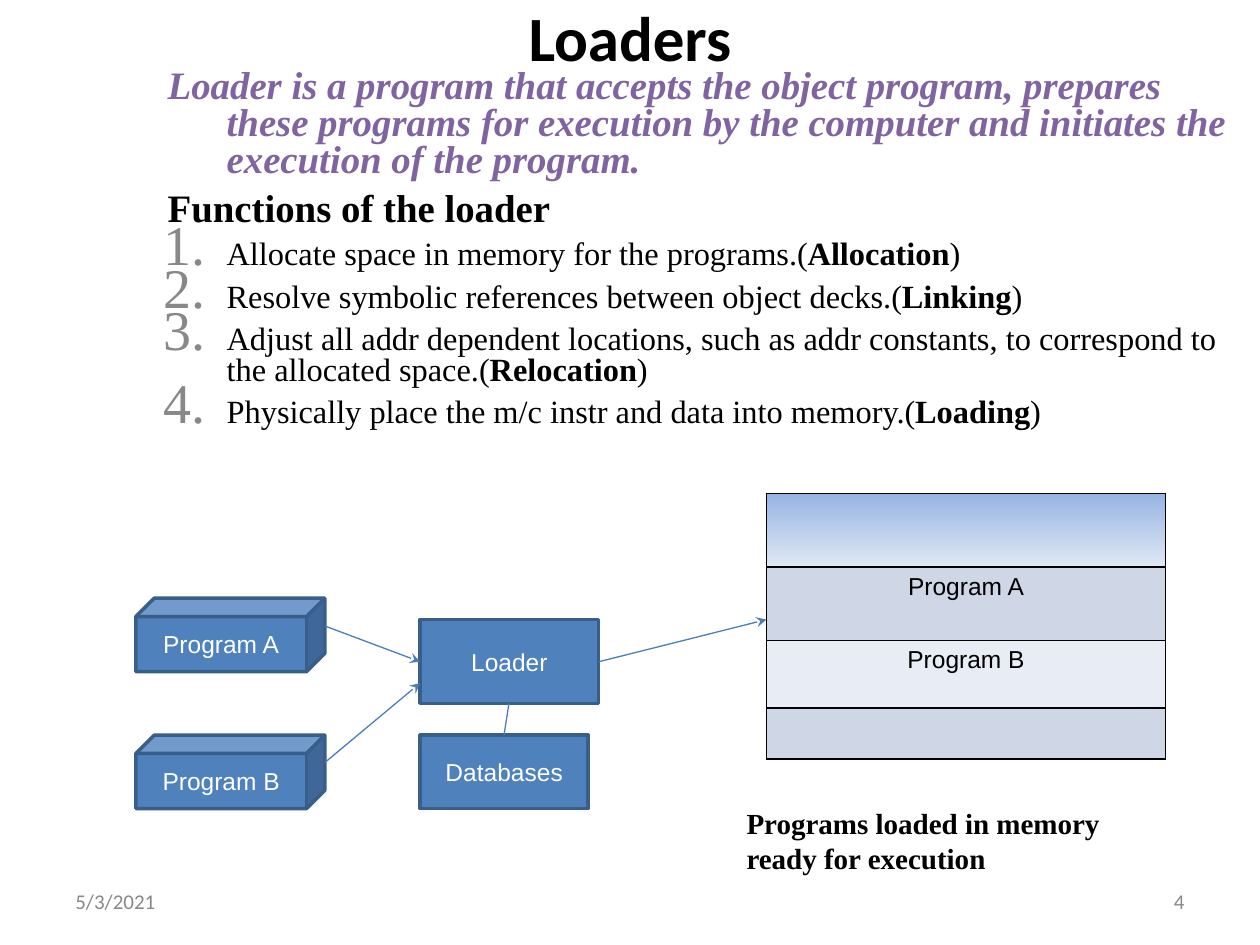
"""Build the slide on loaders, their functions and how programs reach memory."""
from dataclasses import dataclass

from lxml.etree import SubElement as Sub
from pptx import Presentation
from pptx.dml.color import RGBColor as Rgb
from pptx.enum.shapes import MSO_CONNECTOR as Wire, MSO_SHAPE as Form
from pptx.enum.text import MSO_ANCHOR as Anchor, PP_ALIGN as Align
from pptx.oxml.ns import qn
from pptx.util import Cm, Pt


@dataclass
class Theme:
    serif: str = "Times New Roman"
    sans: str = "Arial"
    head: str = "Calibri"
    black: str = "000000"
    white: str = "FFFFFF"
    grey: str = "888888"
    purple: str = "8064A2"
    blue: str = "4F81BD"
    edge: str = "395E89"
    wire: str = "4A7DBA"
    light: str = "E8ECF4"
    band: str = "CFD7E7"
    top: str = "97B4E4"
    fade: str = "E0E8F4"
    title: float = 36
    lead: float = 22.2
    item: float = 18.5
    note: float = 16.6
    label: float = 14
    foot: float = 12


theme = Theme()


def style(font, name, size, color, bold=False, italic=False):
    font.name, font.size, font.bold, font.italic = name, Pt(size), bold, italic
    font.color.rgb = Rgb.from_string(color)


def add_box(left, top, width, height, anchor):
    box = slide.shapes.add_textbox(Cm(left), Cm(top), Cm(width), Cm(height))
    box.text_frame.word_wrap = True
    box.text_frame.vertical_anchor = anchor
    return box.text_frame


deck = Presentation()
deck.slide_width, deck.slide_height = Cm(25.4), Cm(19.05)
slide = deck.slides.add_slide(deck.slide_layouts[6])

for text, place, align, size, color, bold in (
    ("Loaders", (1.9, 0, 21.6, 1.47), Align.CENTER, theme.title, theme.black, True),
    ("5/3/2021", (1.27, 17.65, 5.92, 1.02), Align.LEFT, theme.foot, theme.grey, False),
    ("4", (18.21, 17.65, 5.92, 1.02), Align.RIGHT, theme.foot, theme.grey, False),
):
    frame = add_box(*place, Anchor.MIDDLE)
    frame.text = text
    para = frame.paragraphs[0]
    para.alignment = align
    style(para.runs[0].font, theme.head, size, color, bold)

frame = add_box(3.05, 1.27, 22.35, 10, Anchor.TOP)
intro = (
    ("Loader is a program that accepts the object program, prepares these programs "
     "for execution by the computer and initiates the execution of the program.",
     theme.purple, True),
    ("Functions of the loader", theme.black, False),
)
tasks = (
    ("Allocate space in memory for the programs.", "Allocation"),
    ("Resolve symbolic references between object decks.", "Linking"),
    ("Adjust all addr dependent locations, such as addr constants, "
     "to correspond to the allocated space.", "Relocation"),
    ("Physically place the m/c instr and data into memory.", "Loading"),
)
frame.text = "\n".join([row[0] for row in intro] + [text + "(" for text, _ in tasks])
paras = frame.paragraphs
for para, (_, color, italic) in zip(paras, intro):
    props = para._p.get_or_add_pPr()
    props.set("marL", str(Cm(1.27)))
    props.set("indent", str(-Cm(1.19)))
    style(para.runs[0].font, theme.serif, theme.lead, color, True, italic)
for para, (_, term) in zip(paras[len(intro):], tasks):
    props = para._p.get_or_add_pPr()
    props.set("marL", str(Cm(1.27)))
    props.set("indent", str(-Cm(1.27)))
    Sub(Sub(props, qn("a:buClr")), qn("a:srgbClr"), val=theme.grey)
    Sub(props, qn("a:buSzPct"), val="173000")
    Sub(props, qn("a:buAutoNum"), type="arabicPeriod")
    for text in (term, ")"):
        para.add_run().text = text
    for run in para.runs:
        style(run.font, theme.serif, theme.item, theme.black, run.text == term)
for spot, para in enumerate(paras):
    para.line_spacing = 0.8
    if spot:
        para.space_before = Pt(6.4)

frame = add_box(14.8, 16.25, 9, 1.5, Anchor.TOP)
frame.text = "Programs loaded in memory\nready for execution"
for spot, para in enumerate(frame.paragraphs):
    para.line_spacing = 0.8
    if spot:
        para.space_before = Pt(4)
    style(para.runs[0].font, theme.serif, theme.note, theme.black, True)

for text, form, *place in (
    ("Program A", Form.CUBE, 2.74, 12.06, 3.81, 1.48),
    ("Program B", Form.CUBE, 2.74, 14.82, 3.81, 1.48),
    ("Loader", Form.RECTANGLE, 8.47, 12.49, 3.6, 1.69),
    ("Databases", Form.RECTANGLE, 8.47, 14.82, 3.39, 1.48),
):
    node = slide.shapes.add_shape(form, *map(Cm, place))
    node.shadow.inherit = False
    node.fill.solid()
    node.fill.fore_color.rgb = Rgb.from_string(theme.blue)
    node.line.color.rgb = Rgb.from_string(theme.edge)
    node.line.width = Pt(2)
    frame = node.text_frame
    frame.text = text
    frame.vertical_anchor = Anchor.MIDDLE
    frame.paragraphs[0].alignment = Align.CENTER
    style(frame.paragraphs[0].runs[0].font, theme.sans, theme.label, theme.white)

rows = (
    ("", 1.48, None),
    ("Program A", 1.48, theme.band),
    ("Program B", 1.36, theme.light),
    ("", 1.03, theme.band),
)
high = sum(row[1] for row in rows)
grid = slide.shapes.add_table(len(rows), 1, Cm(15.45), Cm(9.95), Cm(8.05), Cm(high)).table
grid.first_row = grid.horz_banding = False
grid.columns[0].width = Cm(8.05)
for spot, (text, tall, color) in enumerate(rows):
    grid.rows[spot].height = Cm(tall)
    cell = grid.cell(spot, 0)
    props = cell._tc.get_or_add_tcPr()
    for side in ("a:lnL", "a:lnR", "a:lnT", "a:lnB"):
        line = Sub(props, qn(side), w=str(Pt(1)))
        Sub(Sub(line, qn("a:solidFill")), qn("a:srgbClr"), val=theme.black)
    if color:
        cell.fill.solid()
        cell.fill.fore_color.rgb = Rgb.from_string(color)
    else:
        cell.fill.gradient()
        cell.fill.gradient_angle = 270
        for stop, shade in zip(cell.fill.gradient_stops, (theme.top, theme.fade)):
            stop.color.rgb = Rgb.from_string(shade)
    cell.text = text
    para = cell.text_frame.paragraphs[0]
    para.alignment = Align.CENTER
    style(para.font, theme.sans, theme.label, theme.black)
    for run in para.runs:
        style(run.font, theme.sans, theme.label, theme.black)

for *ends, arrow in (
    (6.55, 12.62, 8.47, 13.34, True),
    (6.55, 15.37, 8.47, 13.77, True),
    (10.26, 14.18, 10.16, 14.82, False),
    (12.07, 13.34, 15.45, 12.49, True),
):
    link = slide.shapes.add_connector(Wire.STRAIGHT, *map(Cm, ends))
    link.line.color.rgb = Rgb.from_string(theme.wire)
    link.line.width = Pt(0.75)
    if arrow:
        Sub(link.line._get_or_add_ln(), qn("a:tailEnd"), type="stealth")
    Sub(link._element.spPr, qn("a:effectLst"))

deck.save("out.pptx")
